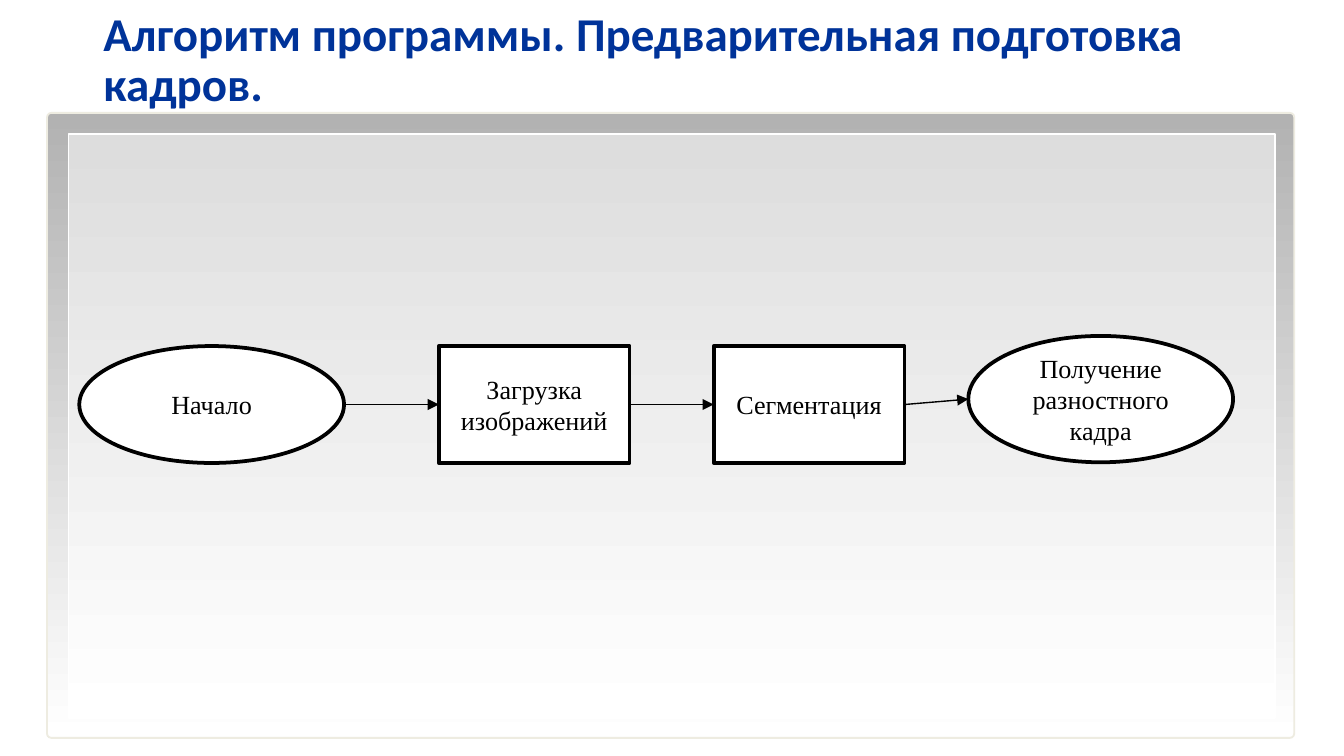
"""Build a slide with a four-step flowchart of frame preparation."""
import lxml.etree
import pptx
import pptx.dml.color
import pptx.enum.shapes
import pptx.enum.text
import pptx.oxml.ns
import pptx.util

SHAPE = pptx.enum.shapes.MSO_SHAPE
MIDDLE = pptx.enum.text.MSO_ANCHOR.MIDDLE
BLACK = pptx.dml.color.RGBColor(0x00, 0x00, 0x00)
WHITE = pptx.dml.color.RGBColor(0xFF, 0xFF, 0xFF)
NAVY = pptx.dml.color.RGBColor(0x00, 0x33, 0x99)
CREAM = pptx.dml.color.RGBColor(0xEE, 0xEC, 0xE1)
GREY = pptx.dml.color.RGBColor(0xB2, 0xB2, 0xB2)
PALE_GREY = pptx.dml.color.RGBColor(0xDD, 0xDD, 0xDD)

deck = pptx.Presentation()
deck.slide_width = pptx.util.Inches(10)
deck.slide_height = deck.slide_width * 9 // 16
COLUMN = ROW = deck.slide_width / 100
page = deck.slides.add_slide(deck.slide_layouts[5])


def grid(left, top, width, height):
    return int(left * COLUMN), int(top * ROW), int(width * COLUMN), int(height * ROW)


def add_box(kind, area, line_color, line_width):
    box = page.shapes.add_shape(kind, *grid(*area))
    box.shadow.inherit = False
    box.line.color.rgb = line_color
    box.line.width = pptx.util.Pt(line_width)
    return box


panels = [
    (SHAPE.ROUNDED_RECTANGLE, (3.5, 8.4, 92.8, 46.5), CREAM, GREY),
    (SHAPE.RECTANGLE, (5.1, 10, 89.8, 43.4), WHITE, PALE_GREY),
]
for kind, area, edge, top_color in panels:
    panel = add_box(kind, area, edge, 1)
    if kind == SHAPE.ROUNDED_RECTANGLE:
        panel.adjustments[0] = 0.007
    panel.fill.gradient()
    panel.fill.gradient_angle = 270
    for stop, color, position in zip(panel.fill.gradient_stops, (top_color, WHITE), (0, 1)):
        stop.color.rgb = color
        stop.position = position

title = page.shapes.title
page.shapes._spTree.append(title._element)
title.left, title.top, title.width, title.height = grid(6.7, 1.4, 88.3, 6.3)
title.text_frame.text = "Алгоритм программы. Предварительная подготовка кадров."
title.text_frame.word_wrap = True
title.text_frame.auto_size = pptx.enum.text.MSO_AUTO_SIZE.NONE
title.text_frame.vertical_anchor = MIDDLE
para = title.text_frame.paragraphs[0]
para.alignment = pptx.enum.text.PP_ALIGN.LEFT
para.line_spacing = 0.9
span = para.runs[0]
span.font.name = "Calibri"
span.font.size = pptx.util.Pt(25.2)
span.font.bold = True
span.font.color.rgb = NAVY

steps = [
    ("Начало", SHAPE.OVAL, (5.9, 25.75, 19.7, 8.7)),
    ("Загрузка изображений", SHAPE.RECTANGLE, (32.65, 25.75, 14.2, 8.7)),
    ("Сегментация", SHAPE.RECTANGLE, (53.1, 25.75, 14.2, 8.7)),
    ("Получение разностного кадра", SHAPE.OVAL, (72.05, 25, 19.7, 9.4)),
]
boxes = []
for label, kind, area in steps:
    box = add_box(kind, area, BLACK, 2)
    box.fill.solid()
    box.fill.fore_color.rgb = WHITE
    box.text_frame.text = label
    box.text_frame.word_wrap = True
    box.text_frame.vertical_anchor = MIDDLE
    para = box.text_frame.paragraphs[0]
    para.alignment = pptx.enum.text.PP_ALIGN.CENTER
    span = para.runs[0]
    span.font.name = "Times New Roman"
    span.font.size = pptx.util.Pt(14)
    span.font.color.rgb = BLACK
    boxes.append(box)

for source, target in zip(boxes, boxes[1:]):
    arrow = page.shapes.add_connector(
        pptx.enum.shapes.MSO_CONNECTOR.STRAIGHT,
        source.left + source.width, source.top + source.height // 2,
        target.left, target.top + target.height // 2,
    )
    arrow.line.color.rgb = BLACK
    arrow.line.width = pptx.util.Pt(0.75)
    tail = lxml.etree.SubElement(arrow.line._get_or_add_ln(), pptx.oxml.ns.qn("a:tailEnd"))
    tail.set("type", "triangle")
    lxml.etree.SubElement(arrow._element.spPr, pptx.oxml.ns.qn("a:effectLst"))

deck.save("out.pptx")
